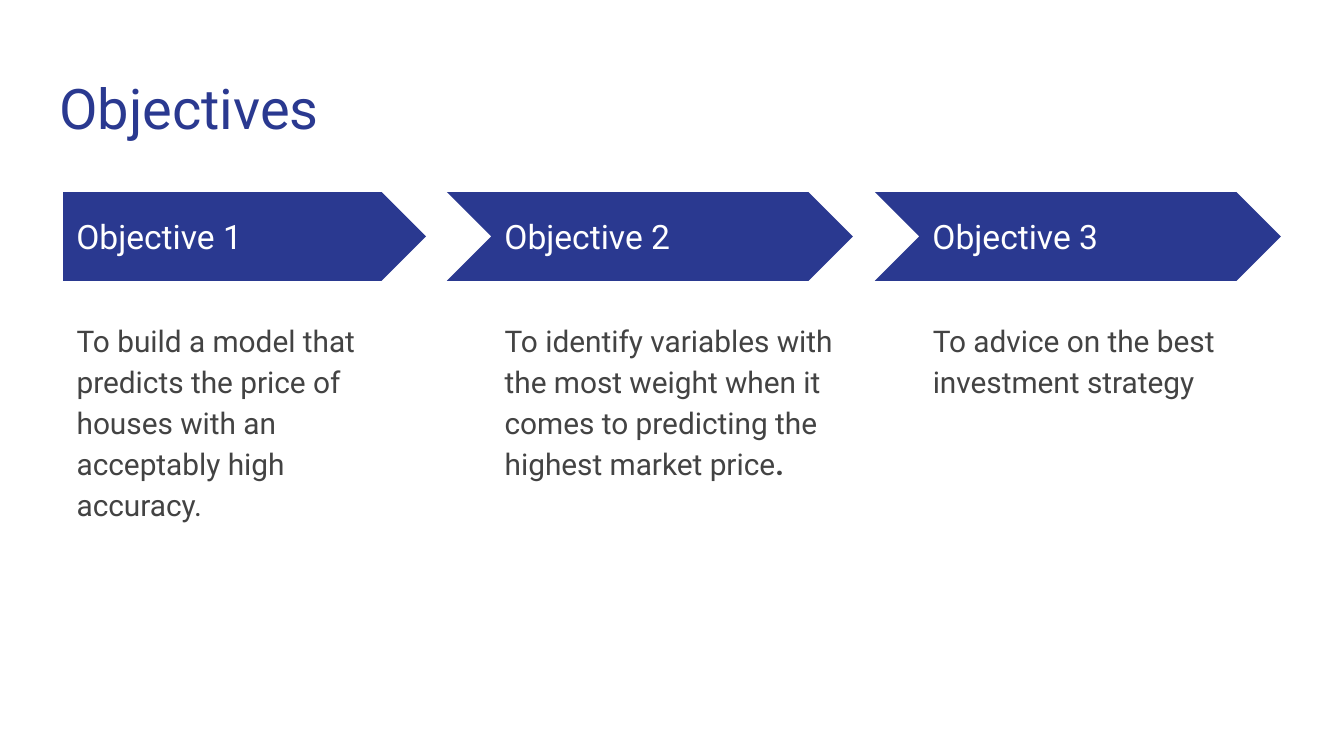
from pptx import Presentation
from pptx.dml.color import RGBColor
from pptx.enum.shapes import MSO_SHAPE as SHAPE
from pptx.enum.text import MSO_ANCHOR as ANCHOR, MSO_AUTO_SIZE as AUTO, PP_ALIGN as ALIGN
from pptx.oxml.ns import qn
from pptx.util import Inches, Pt

NAVY, GRAY, WHITE = "2A3990", "434343", "FFFFFF"
LEFT, LAST_LEFT, NOTCH = 0.47, 6.84, 0.33
PITCH = (LAST_LEFT - LEFT) / 2

OBJECTIVES = [
    ("Objective 1", ["To build a model that predicts the price of houses "
                     "with an acceptably high accuracy."]),
    ("Objective 2", ["To identify variables with the most weight when it "
                     "comes to predicting the highest market price", "."]),
    ("Objective 3", ["To advice on the best investment strategy"]),
]


def color(value):
    return RGBColor.from_string(value)


def set_all(target, formats):
    for name, value in formats.items():
        setattr(target, name, value)


def place(sp, *box):
    set_all(sp, dict(zip(("left", "top", "width", "height"), map(Inches, box))))


def write(sp, runs, size, fill, anchor=ANCHOR.TOP, line_spacing=1.0, space_after=0):
    tf = sp.text_frame
    margins = dict.fromkeys(
        ("margin_left", "margin_top", "margin_right", "margin_bottom"), Inches(0.1))
    set_all(tf, {"word_wrap": True, "auto_size": AUTO.NONE,
                 "vertical_anchor": anchor, **margins})
    p = tf.paragraphs[0]
    set_all(p, {"alignment": ALIGN.LEFT, "line_spacing": line_spacing,
                "space_before": Pt(0), "space_after": Pt(space_after)})
    for i, text in enumerate(runs):
        r = p.add_run()
        r.text = text
        set_all(r.font, {"name": "Roboto", "size": Pt(size), "bold": i > 0})
        r.font.color.rgb = color(fill)
    return p


def add_arrow(s, kind, left, width):
    sp = s.shapes.add_shape(kind, Inches(left), Inches(1.43), Inches(width), Inches(0.66))
    sp.shadow.inherit = False
    sp.fill.solid()
    sp.fill.fore_color.rgb = color(NAVY)
    sp.line.fill.background()


def add_heading(s, text, left):
    sp = s.shapes.add_textbox(Inches(left), Inches(1.59), Inches(2.47), Inches(0.34))
    write(sp, [text], 18, WHITE, ANCHOR.MIDDLE)


def fill_body(sp, runs, left):
    place(sp, left, 2.26, 2.7, 2.9)
    p = write(sp, runs, 16, GRAY, line_spacing=1.15, space_after=8)
    pPr = p._p.get_or_add_pPr()
    pPr.set("marL", "0")
    pPr.set("indent", "0")
    pPr.append(pPr.makeelement(qn("a:buNone"), {}))


def main():
    prs = Presentation()
    set_all(prs, {"slide_width": Inches(10), "slide_height": Inches(10 * 9 / 16)})
    s = prs.slides.add_slide(prs.slide_layouts.get_by_name("Comparison"))
    title, *bodies, spare = s.placeholders
    spare.element.getparent().remove(spare.element)

    place(title, 0.34, 0.45, 9.32, 0.66)
    write(title, ["Objectives"], 30, NAVY)

    for i, (body, (heading, runs)) in enumerate(zip(bodies, OBJECTIVES)):
        left = LEFT + i * PITCH
        if i == 0:
            add_arrow(s, SHAPE.PENTAGON, left, 2.7)
        else:
            add_arrow(s, SHAPE.CHEVRON, left - NOTCH, 3.02)
        add_heading(s, heading, left)
        fill_body(body, runs, left)

    prs.save("out.pptx")


if __name__ == "__main__":
    main()
